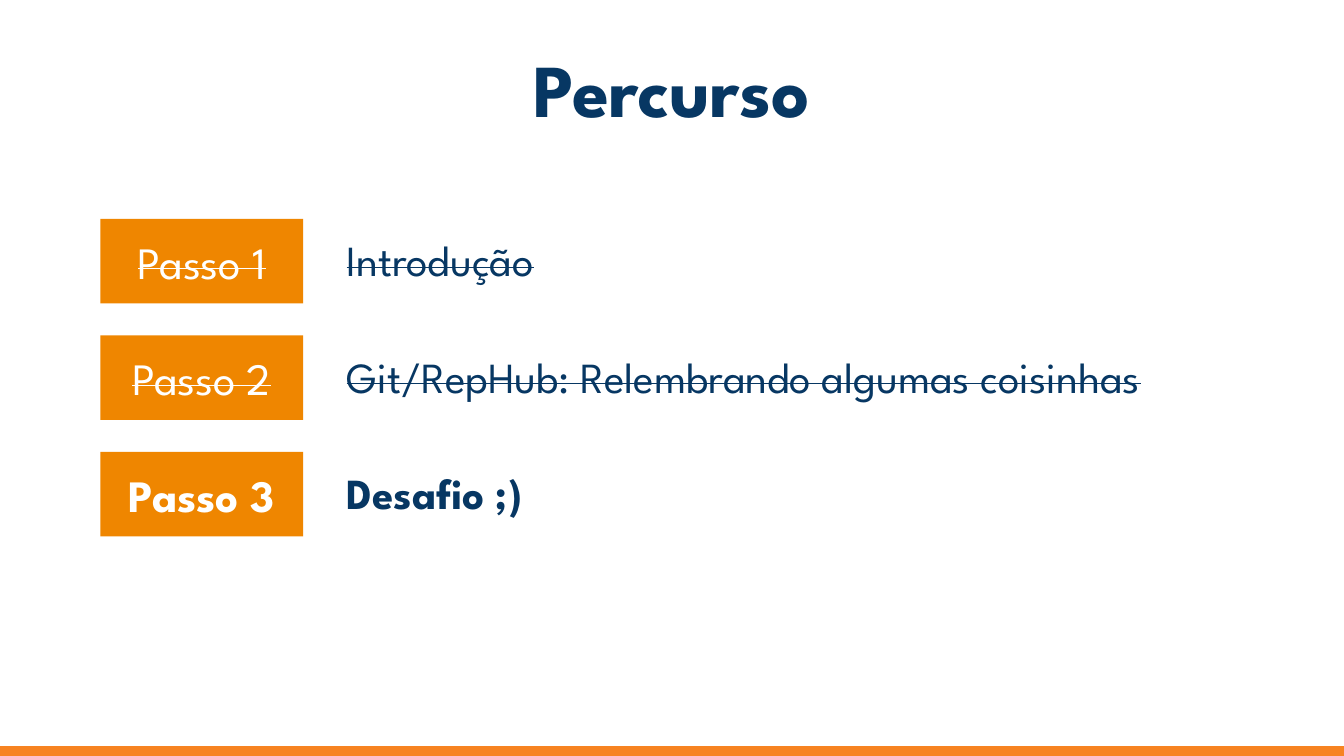
from pptx import Presentation
from pptx.dml.color import RGBColor
from pptx.enum.shapes import MSO_SHAPE
from pptx.enum.text import MSO_ANCHOR, MSO_AUTO_SIZE, PP_ALIGN
from pptx.util import Pt

RECT = MSO_SHAPE.RECTANGLE
MIDDLE, TOP = MSO_ANCHOR.MIDDLE, MSO_ANCHOR.TOP
CENTER, LEFT = PP_ALIGN.CENTER, PP_ALIGN.LEFT
NO_FIT = MSO_AUTO_SIZE.NONE

FONT = "League Spartan"
NAVY, ORANGE, BAR, WHITE = "073763", "EF8600", "F78321", "FFFFFF"

STEPS = [
    ("Passo 1", "Introdução", True),
    ("Passo 2", "Git/RepHub: Relembrando algumas coisinhas", True),
    ("Passo 3", "Desafio ;)", False),
]
FIRST_TOP, PITCH = 117.3, 62.4


def rgb(value):
    return RGBColor.from_string(value)


class SlideBuilder:
    def __init__(self, slide):
        self.slide = slide

    def set_text(self, sp, text, size, color, align, anchor, inset, done=False):
        tf = sp.text_frame
        tf.word_wrap = True
        tf.auto_size = NO_FIT
        tf.vertical_anchor = anchor
        tf.margin_left = tf.margin_right = Pt(7.2)
        tf.margin_top = tf.margin_bottom = Pt(inset)
        p = tf.paragraphs[0]
        p.alignment = align
        p.font.name = FONT
        p.font.size = Pt(size)
        p.font.bold = not done
        p.font.color.rgb = rgb(color)
        r = p.add_run()
        r.text = text
        if done:
            r._r.get_or_add_rPr().set("strike", "sngStrike")

    def title(self, text, x, y, w, h):
        sp = self.slide.shapes.title
        sp.left, sp.top, sp.width, sp.height = Pt(x), Pt(y), Pt(w), Pt(h)
        self.set_text(sp, text, 40, NAVY, CENTER, MIDDLE, 7.2)

    def rect(self, x, y, w, h, fill, line=None):
        sp = self.slide.shapes.add_shape(RECT, Pt(x), Pt(y), Pt(w), Pt(h))
        sp.shadow.inherit = False
        sp.fill.solid()
        sp.fill.fore_color.rgb = rgb(fill)
        if line:
            sp.line.color.rgb = rgb(line)
            sp.line.width = Pt(0.75)
        else:
            sp.line.fill.background()
        return sp

    def badge(self, text, x, y, w, h, done):
        sp = self.rect(x, y, w, h, ORANGE)
        self.set_text(sp, text, 24, WHITE, CENTER, MIDDLE, 7.2, done)

    def label(self, text, x, y, w, h, done):
        sp = self.slide.shapes.add_textbox(Pt(x), Pt(y), Pt(w), Pt(h))
        self.set_text(sp, text, 23, NAVY, LEFT, TOP, 3.6, done)


def main():
    prs = Presentation()
    prs.slide_width, prs.slide_height = Pt(720), Pt(405)
    s = prs.slides.add_slide(prs.slide_layouts[5])
    s.background.fill.solid()
    s.background.fill.fore_color.rgb = rgb(WHITE)

    builder = SlideBuilder(s)
    builder.title("Percurso", 24.5, 23.8, 671, 46.8)
    builder.rect(0, 399.9, 720, 4.5, BAR, BAR)
    for i, (step, topic, done) in enumerate(STEPS):
        top = FIRST_TOP + i * PITCH
        builder.badge(step, 53.8, top, 108.6, 45.3, done)
        builder.label(topic, 178.6, top + 4.6, 517, 36, done)

    prs.save("out.pptx")


if __name__ == "__main__":
    main()
